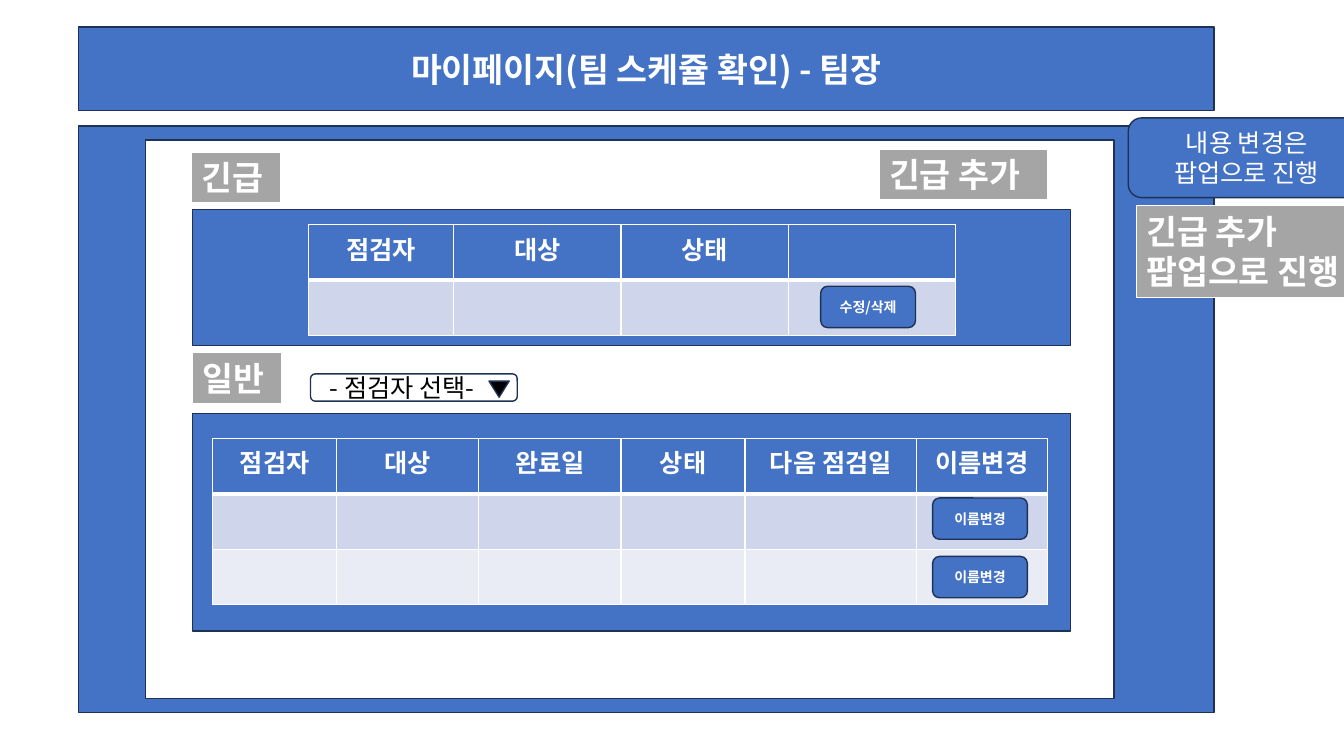
from lxml.etree import SubElement
from pptx import Presentation
from pptx.dml.color import RGBColor
from pptx.enum.shapes import MSO_SHAPE as Preset
from pptx.enum.text import MSO_ANCHOR as Anchor, MSO_AUTO_SIZE as AutoSize, PP_ALIGN as Align
from pptx.oxml.ns import qn
from pptx.util import Emu, Pt

PX = 9144  # 100 px to the inch
FONT = "Noto Sans CJK KR"
BLUE = RGBColor(0x44, 0x72, 0xC4)
NAVY = RGBColor(0x1E, 0x32, 0x56)
GREY = RGBColor(0xA5, 0xA5, 0xA5)
WHITE = RGBColor(0xFF, 0xFF, 0xFF)
BLACK = RGBColor(0x00, 0x00, 0x00)
BAND_DARK = RGBColor(0xCF, 0xD5, 0xEA)
BAND_LIGHT = RGBColor(0xE9, 0xEB, 0xF5)

ROW_HEIGHT = 55
BUTTON_SIZE = (94, 41)


def px(*lengths):
    return [Emu(length * PX) for length in lengths]


def write(frame, text, size=18, color=WHITE, bold=False, align=Align.CENTER):
    """Fill a text frame, one paragraph for each line of text."""
    for number, line in enumerate(text.split("\n")):
        paragraph = frame.add_paragraph() if number else frame.paragraphs[0]
        paragraph.alignment = align
        run = paragraph.add_run()
        run.text = line
        run.font.name = FONT
        run.font.size = Pt(size)
        run.font.bold = bold
        run.font.color.rgb = color
        SubElement(run._r.get_or_add_rPr(), qn("a:ea"), typeface=FONT)


def add_box(slide, box, preset=Preset.RECTANGLE, fill=BLUE, line=NAVY, weight=1):
    shape = slide.shapes.add_shape(preset, *px(*box))
    shape.shadow.inherit = False
    shape.fill.solid()
    shape.fill.fore_color.rgb = fill
    shape.line.color.rgb = line
    shape.line.width = Pt(weight)
    shape.text_frame.vertical_anchor = Anchor.MIDDLE
    return shape


def add_tag(slide, box, text):
    """Add a grey label that grows with its text."""
    frame = add_box(slide, box, fill=GREY, line=WHITE, weight=0.75).text_frame
    frame.word_wrap = False
    frame.auto_size = AutoSize.SHAPE_TO_FIT_TEXT
    frame.vertical_anchor = Anchor.TOP
    write(frame, text, size=24, bold=True, align=Align.LEFT)


def add_button(slide, left, top, text):
    button = add_box(slide, (left, top, *BUTTON_SIZE), Preset.ROUNDED_RECTANGLE)
    write(button.text_frame, text, size=10, bold=True)


def add_borders(cell, **weights):
    properties = cell._tc.get_or_add_tcPr()
    for side in "LRTB":
        edge = SubElement(properties, qn(f"a:ln{side}"), w=str(Pt(weights.get(side, 1))))
        fill = SubElement(edge, qn("a:solidFill"))
        SubElement(fill, qn("a:srgbClr"), val=str(WHITE))


def add_schedule(slide, left, top, headings, widths, body_fills):
    """Add a table with a heading row and one empty row for each body fill."""
    fills = [BLUE, *body_fills]
    table = slide.shapes.add_table(
        len(fills), len(widths), *px(left, top, sum(widths), ROW_HEIGHT * len(fills))
    ).table
    table.horz_banding = False
    for column, width in zip(table.columns, widths):
        column.width = Emu(width * PX)
    for number, (row, fill) in enumerate(zip(table.rows, fills)):
        row.height = Emu(ROW_HEIGHT * PX)
        for cell in row.cells:
            add_borders(cell, T=3 if number == 1 else 1, B=3 if number == 0 else 1)
            cell.fill.solid()
            cell.fill.fore_color.rgb = fill
    for cell, heading in zip(table.rows[0].cells, headings):
        if heading:
            write(cell.text_frame, heading, bold=True)


def add_inspector_select(slide):
    select = add_box(slide, (308, 371, 205, 27), Preset.ROUNDED_RECTANGLE, fill=WHITE)
    frame = select.text_frame
    frame.margin_left, frame.margin_right = px(4, 27)
    write(frame, "- 점검자 선택-", color=BLACK)
    arrow = add_box(slide, (485, 378, 20, 16), Preset.ISOSCELES_TRIANGLE, fill=BLACK)
    arrow.rotation = 180


def main():
    prs = Presentation()
    prs.slide_width, prs.slide_height = px(1333, 750)
    slide = prs.slides.add_slide(prs.slide_layouts[6])

    add_box(slide, (78, 125, 1126, 582))
    title = add_box(slide, (78, 27, 1126, 83))
    write(title.text_frame, "마이페이지(팀 스케쥴 확인) - 팀장", size=24, bold=True)
    add_box(slide, (144, 139, 961, 554), fill=WHITE)
    for top, height in ((208, 135), (410, 216)):
        add_box(slide, (191, top, 871, height))

    add_tag(slide, (190, 151, 88, 50), "긴급")
    add_tag(slide, (872, 148, 167, 50), "긴급 추가")
    add_schedule(slide, 211, 435,
                 ["점검자", "대상", "완료일", "상태", "다음 점검일", "이름변경"],
                 [123, 141, 141, 123, 170, 130], [BAND_DARK, BAND_LIGHT])
    add_schedule(slide, 306, 223, ["점검자", "대상", "상태", ""],
                 [144, 166, 166, 166], [BAND_DARK])
    add_tag(slide, (191, 350, 88, 50), "일반")
    add_inspector_select(slide)

    popup_note = add_box(slide, (1119, 117, 235, 79), Preset.ROUNDED_RECTANGLE)
    write(popup_note.text_frame, "내용 변경은 팝업으로 진행")
    for top in (494, 552):
        add_button(slide, 925, top, "이름변경")
    add_button(slide, 814, 284, "수정/삭제")
    add_tag(slide, (1127, 204, 234, 91), "긴급 추가\n팝업으로 진행")

    prs.save("out.pptx")


if __name__ == "__main__":
    main()
